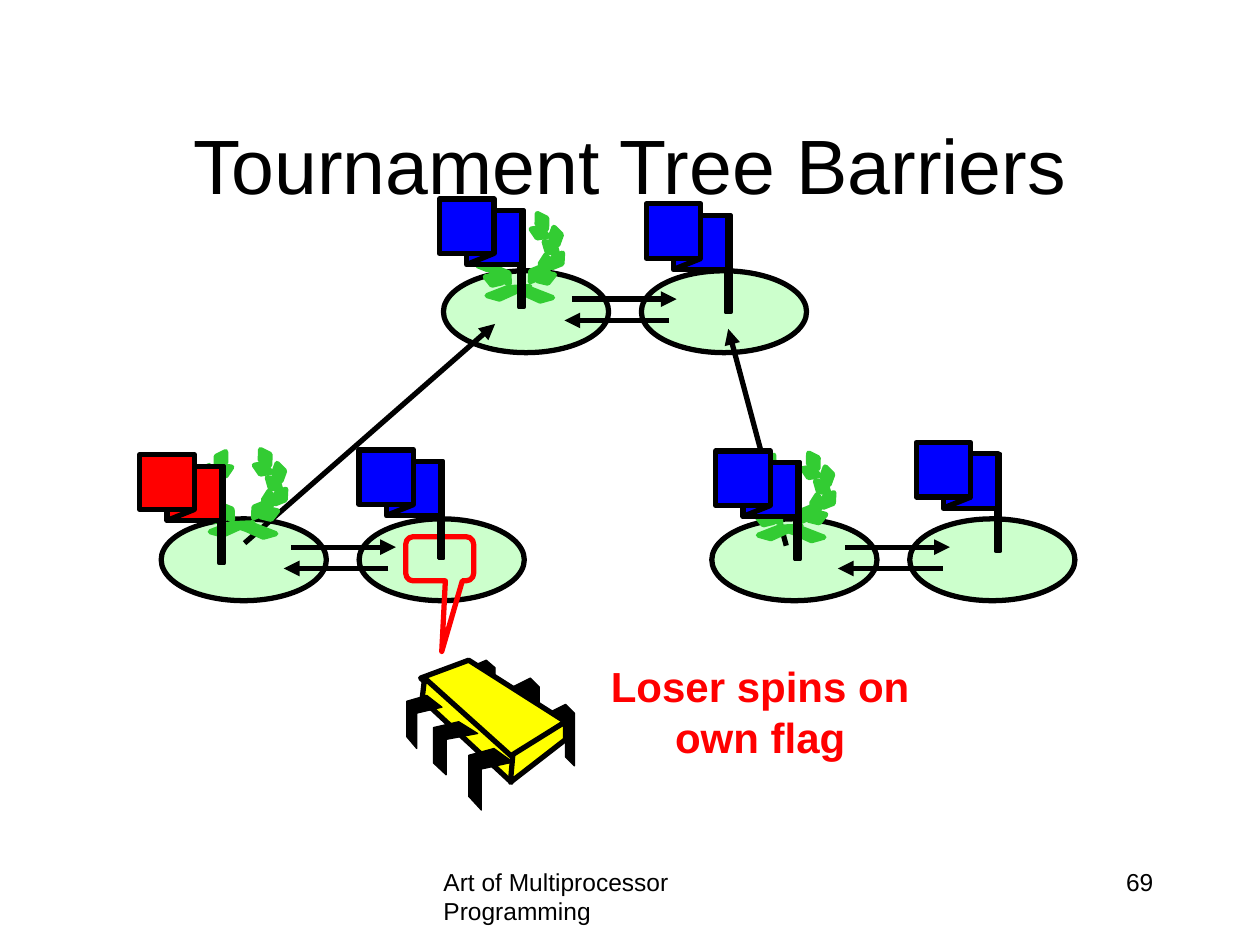
"""Build the tournament tree barrier slide."""
from lxml.etree import SubElement
from pptx import Presentation
from pptx.dml.color import RGBColor as RGB
from pptx.enum.shapes import MSO_CONNECTOR as Wire, MSO_SHAPE as Kind
from pptx.enum.text import MSO_ANCHOR as Anchor, PP_ALIGN as Align
from pptx.oxml.ns import qn
from pptx.util import Cm, Pt

COLORS = {"black": "000000", "mint": "CCFFCC", "green": "33CC33",
          "yellow": "FFFF00", "red": "FF0000", "blue": "0000FF"}


def style(shape, fill, edge="black", width=3):
    shape.shadow.inherit = False
    if fill:
        shape.fill.solid()
        shape.fill.fore_color.rgb = RGB.from_string(COLORS[fill])
    else:
        shape.fill.background()
    shape.line.color.rgb = RGB.from_string(COLORS[edge])
    shape.line.width = Pt(width)


def link(x1, y1, x2, y2, head=True):
    line = shapes.add_connector(Wire.STRAIGHT, Cm(x1), Cm(y1), Cm(x2), Cm(y2))
    line.line.color.rgb = RGB.from_string(COLORS["black"])
    line.line.width = Pt(3)
    if head:
        SubElement(line.line._get_or_add_ln(), qn("a:tailEnd"), type="triangle")
    SubElement(line._element.spPr, qn("a:effectLst"))


deck = Presentation()
deck.slide_width, deck.slide_height = Cm(25.4), Cm(19.05)
slide = deck.slides.add_slide(deck.slide_layouts[5])
shapes = slide.shapes

title = shapes.title
title.left, title.top, title.width, title.height = map(Cm, (1.9, 1.7, 21.6, 3.18))
title.text_frame.text = "Tournament Tree Barriers"
title.text_frame.vertical_anchor = Anchor.MIDDLE
head = title.text_frame.paragraphs[0]
head.alignment = Align.CENTER
head.font.name, head.font.size = "Arial", Pt(44)
head.font.color.rgb = RGB.from_string(COLORS["black"])

for text, box, size, color, bold, align in (
        ("Art of Multiprocessor Programming", (8.69, 17.35, 8.05, 1.27), 14, "black", False, Align.LEFT),
        ("69", (18.2, 17.35, 5.3, 1.27), 14, "black", False, Align.RIGHT),
        ("Loser spins on own flag", (11.91, 13.2, 6.83, 2.31), 24, "red", True, Align.CENTER)):
    frame = shapes.add_textbox(*map(Cm, box)).text_frame
    frame.word_wrap = True
    frame.text = text
    para = frame.paragraphs[0]
    para.alignment = align
    para.font.name, para.font.size, para.font.bold = "Arial", Pt(size), bold
    para.font.color.rgb = RGB.from_string(COLORS[color])

for x, y, start in ((3.25, 10.46, 5.87), (14.35, 10.46, 17.04), (8.94, 5.46, 11.53)):
    for left in (x + 3.99, x):
        style(shapes.add_shape(Kind.OVAL, Cm(left), Cm(y), Cm(3.33), Cm(1.65)), "mint")
    link(start, y + 0.57, start + 2.11, y + 0.57)
    link(start + 1.96, y + 1, start - 0.15, y + 1)
link(4.93, 10.95, 9.98, 6.53)
link(15.85, 11, 14.68, 6.63)

LEAVES = ((0.41, 0.86, 0), (0.64, 0.79, 35.7), (0.51, 0.53, 311.6), (0.61, 0.3, 347.4),
          (0.28, 0.23, 293.1), (0.33, 0, 328.9), (0.2, 1.07, 35.3), (0.41, 1.14, 71))
STEM = ((0.2, 1.5), (-0.25, 1.52), (-0.66, 1.68), (-0.41, 1.75), (-0.08, 1.6))
for x, y, bare in ((4.9, 9.04, (1,)), (15.95, 9.11, (0, 2, 3, 4)), (10.48, 4.28, (2, 3, 4))):
    for side, drop in ((1, 0), (-1, 0.04)):
        for i, (dx, dy, turn) in enumerate(LEAVES):
            if side < 0 and i in bare:
                continue
            mid = x + side * (dx + 0.115)
            leaf = shapes.add_shape(Kind.DIAMOND, Cm(mid - 0.115), Cm(y + dy + drop), Cm(0.23), Cm(0.36))
            leaf.rotation = side * turn % 360
            style(leaf, "green", "green")
        stem = [(Cm(x + side * dx), Cm(y + dy + drop)) for dx, dy in STEM]
        pen = shapes.build_freeform(*stem[0])
        pen.add_line_segments(stem[1:])
        style(pen.convert_to_shape(), "green", "green")

BACK = ((0, 1), (2, 0), (3, 1), (3, 7), (2, 6), (2, 2), (0, 3))
FRONT = ((4, 0), (7, 2), (2, 3), (2, 9), (0, 7), (0, 1))
legs = {BACK: ((11.05, 14.2, 0.53, 1.24), (10.34, 13.67, 0.53, 1.24), (9.45, 13.31, 0.53, 1.07)),
        FRONT: ((9.45, 15.09, 0.89, 1.24), (8.74, 14.55, 0.89, 1.07), (8.2, 14.02, 0.71, 1.07))}
rear, fore = [[([(x + w * u / max(p[0] for p in form), y + h * v / max(p[1] for p in form))
                 for u, v in form], "black", 0.75) for x, y, w, h in boxes]
              for form, boxes in legs.items()]
body = [(points, "yellow", 3) for points in (
    ((9.45, 13.31), (11.4, 14.55), (10.31, 15.29), (8.48, 13.67)),
    ((8.56, 13.67), (10.34, 15.27), (10.31, 15.77), (8.51, 14.1)),
    ((11.4, 14.55), (11.4, 14.91), (10.29, 15.77), (10.34, 15.21)))]
for points, fill, width in rear + body + fore:
    spots = [(Cm(x), Cm(y)) for x, y in points]
    pen = shapes.build_freeform(*spots[0])
    pen.add_line_segments(spots[1:])
    style(pen.convert_to_shape(), fill, "black", width)

call = shapes.add_shape(Kind.ROUNDED_RECTANGULAR_CALLOUT, Cm(8.18), Cm(10.82), Cm(1.37), Cm(0.89))
for i, value in enumerate((0.03, 2.1, 0.17)):
    call.adjustments[i] = value
style(call, None, "red")

for x, y, color in ((2.82, 9.17, "red"), (14.43, 9.09, "blue"), (18.47, 8.92, "blue"),
                    (13.03, 4.11, "blue"), (8.86, 4.01, "blue"), (7.24, 9.07, "blue")):
    for dx, dy, w, h, fill, width in ((1.6, 0.23, 0.1, 1.96, "black", 2.25),
                                      (0.55, 0.23, 1.1, 1.1, color, 3),
                                      (0, 0, 1.1, 1.1, color, 3)):
        if dx == 0:
            link(x + 0.55, y + 1.32, x + 1.1, y + 1.1, head=False)
        part = shapes.add_shape(Kind.RECTANGLE, Cm(x + dx), Cm(y + dy), Cm(w), Cm(h))
        style(part, fill, "black", width)

deck.save("out.pptx")
